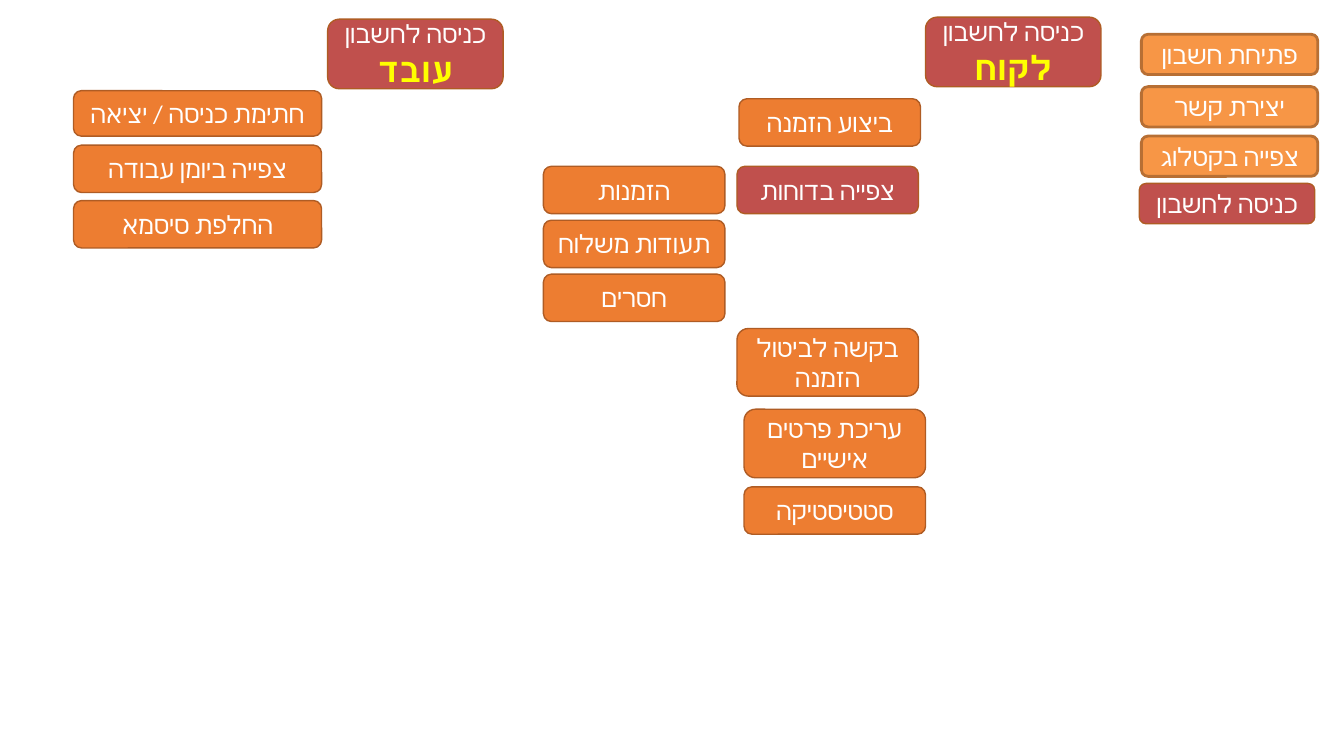
from lxml.etree import SubElement
from pptx import Presentation
from pptx.dml.color import RGBColor
from pptx.enum.shapes import MSO_SHAPE as Shape
from pptx.enum.text import MSO_ANCHOR as Anchor, PP_ALIGN as Align
from pptx.oxml.ns import qn
from pptx.util import Inches, Pt

COLORS = {
    "entry": "C0504D",
    "action": "ED7D31",
    "public": "F79646",
    "border": "AF5C24",
    "public_border": "B76F34",
    "text": "FFFFFF",
    "role": "FFFF00",
}


class SiteMap:
    """Draws the site map's buttons on one slide in a shared style."""

    font_name = "Calibri"

    def __init__(self, slide):
        self.slide = slide

    def style_font(self, font, size=18, color="text", bold=False):
        font.size = Pt(size)
        font.bold = bold
        font.color.rgb = RGBColor.from_string(COLORS[color])
        font.name = self.font_name
        SubElement(font._element, qn("a:cs"), typeface=self.font_name)

    def button(self, label, left, top, width, height, kind="action"):
        button = self.slide.shapes.add_shape(
            Shape.ROUNDED_RECTANGLE, *map(Inches, (left, top, width, height)))
        button.shadow.inherit = False
        button.fill.solid()
        button.fill.fore_color.rgb = RGBColor.from_string(COLORS[kind])
        border = "public_border" if kind == "public" else "border"
        button.line.color.rgb = RGBColor.from_string(COLORS[border])
        button.line.width = Pt(2 if kind == "public" else 1)
        frame = button.text_frame
        frame.word_wrap = True
        frame.vertical_anchor = Anchor.MIDDLE
        caption = frame.paragraphs[0]
        caption.alignment = Align.CENTER
        caption._p.get_or_add_pPr().set("rtl", "1")
        caption.add_run().text = label
        return caption

    def menu_button(self, *args, **kwargs):
        self.style_font(self.button(*args, **kwargs).font)

    def account_button(self, role, left, top):
        caption = self.button("כניסה לחשבון ", left, top, 1.74, 0.69, "entry")
        self.style_font(caption.runs[0].font)
        role_run = caption.add_run()
        role_run.text = role
        self.style_font(role_run.font, 24, "role", True)


def main():
    deck = Presentation()
    deck.slide_width, deck.slide_height = Inches(13.33), Inches(7.5)
    site = SiteMap(deck.slides.add_slide(deck.slide_layouts[6]))

    site.menu_button("כניסה לחשבון", 11.3, 1.82, 1.74, 0.4, kind="entry")
    for label, top in (("פתיחת חשבון", 0.34), ("יצירת קשר", 0.86), ("צפייה בקטלוג", 1.35)):
        site.menu_button(label, 11.32, top, 1.75, 0.4, kind="public")

    site.account_button("לקוח", 9.18, 0.17)
    site.account_button("עובד", 3.25, 0.19)

    customer_menu = (
        ("ביצוע הזמנה", 7.33, 0.98, 0.47, "action"),
        ("צפייה בדוחות", 7.31, 1.65, 0.47, "entry"),
        ("בקשה לביטול הזמנה", 7.31, 3.26, 0.67, "action"),
        ("עריכת פרטים אישיים", 7.38, 4.06, 0.68, "action"),
        ("סטטיסטיקה", 7.38, 4.83, 0.47, "action"),
    )
    for label, left, top, height, kind in customer_menu:
        site.menu_button(label, left, top, 1.8, height, kind)

    for row, report in enumerate(("הזמנות", "תעודות משלוח", "חסרים")):
        site.menu_button(report, 5.39, 1.65 + row * 0.535, 1.8, 0.47)

    employee_menu = (
        ("חתימת כניסה / יציאה", 0.9, 0.45),
        ("צפייה ביומן עבודה", 1.44, 0.47),
        ("החלפת סיסמא", 1.99, 0.47),
    )
    for label, top, height in employee_menu:
        site.menu_button(label, 0.73, top, 2.46, height)

    deck.save("out.pptx")


if __name__ == "__main__":
    main()
